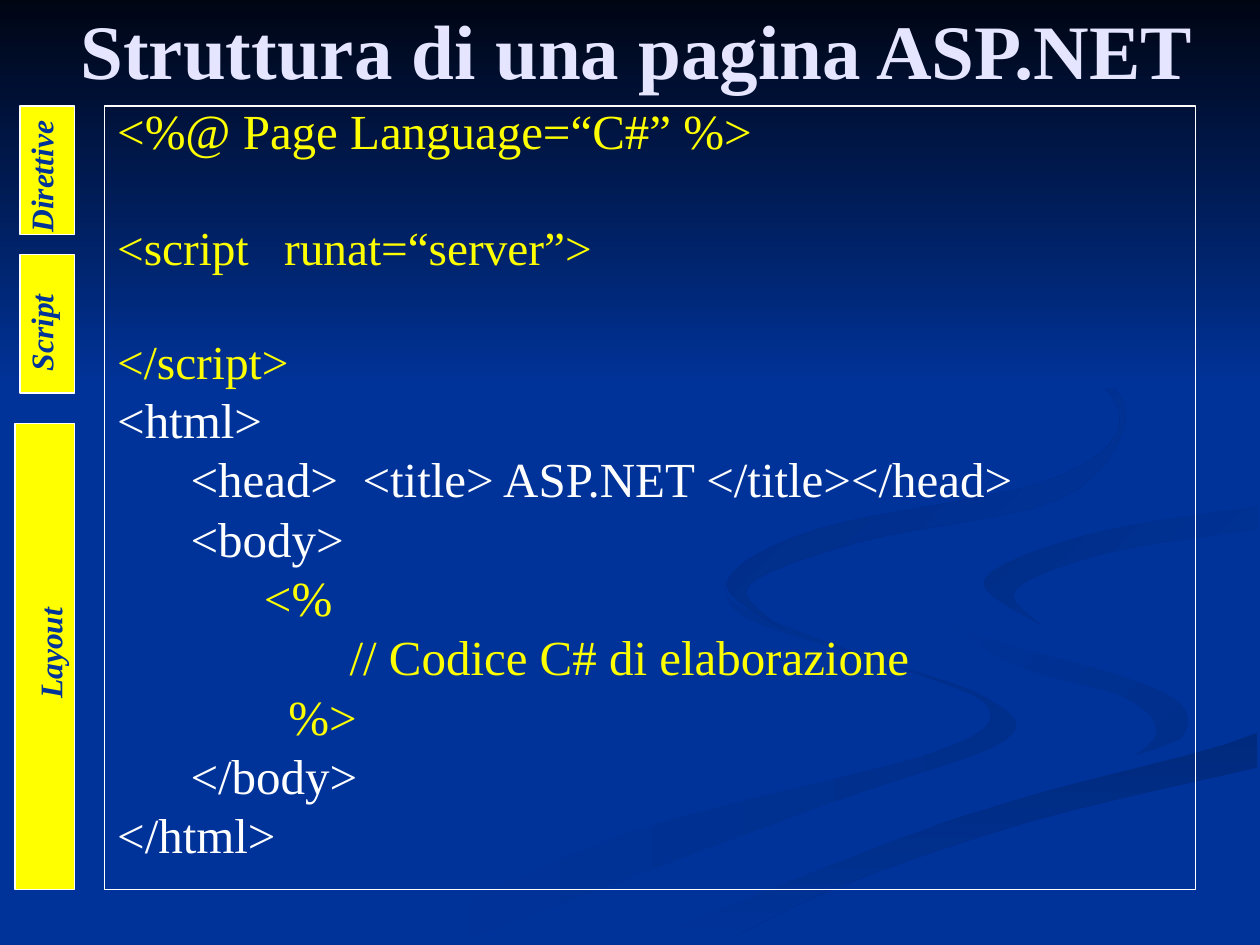
import pptx
import pptx.util
import pptx.dml.color
import pptx.enum.shapes
import pptx.enum.text
import lxml.etree

Inches, Pt = pptx.util.Inches, pptx.util.Pt
RECTANGLE = pptx.enum.shapes.MSO_SHAPE.RECTANGLE
ANCHOR = pptx.enum.text.MSO_ANCHOR
FONT = "Times New Roman"
BLUE, YELLOW, WHITE, LAVENDER = "003399", "FFFF00", "FFFFFF", "E5E5FF"
CURVE_STEPS = 6

TITLE = "Struttura di una pagina ASP.NET"

CODE = [
    ("<%@ Page Language=“C#” %>", 28, YELLOW, 0),
    ("<script   runat=“server”>", 27, YELLOW, 40),
    ("</script>", 27, YELLOW, 39.2),
    ("<html>", 28, WHITE, 7),
    ("      <head>  <title> ASP.NET </title></head>", 28, WHITE, 7),
    ("      <body>", 28, WHITE, 7),
    ("            <%", 28, YELLOW, 7),
    ("                   // Codice C# di elaborazione", 28, YELLOW, 7),
    ("              %>", 28, YELLOW, 7),
    ("      </body>", 28, WHITE, 7),
    ("</html>", 28, WHITE, 7),
]

SECTIONS = [
    ("Direttive", (0.16, 0.84, 0.43, 1.02), (-0.12, 1, 1.19, 0.7)),
    ("Script", (0.16, 2.02, 0.43, 1.1), (-0.23, 2.29, 1.11, 0.4)),
    ("Layout", (0.12, 3.36, 0.47, 3.7), (-0.16, 4.89, 1.11, 0.4)),
]

RIBBONS = [
    ("003399", "002E8B", 0,
     [(5.75, 4.59), (5.87, 4.81), (6.82, 5.19), (7.81, 5.53), (7.97, 5.88), (6.51, 6.4), (3.61, 7.49)],
     [(3, 7.49), (4.99, 6.61), (7.39, 5.98), (7.85, 5.62), (7.14, 5.3), (5.93, 4.91), (5.75, 4.59)]),
    ("003399", "002E8B", 45,
     [(7.24, 4.64), (7.58, 4.98), (8.7, 5.3), (9.35, 5.57), (9.37, 5.86), (8.94, 6.05)],
     [(8.94, 6.05), (9.18, 5.81), (8.92, 5.53), (7.97, 5.24), (7.24, 4.64)]),
    ("002A7D", "003399", 90,
     [(5.03, 7.49), (6.3, 6.93), (7.97, 6.38), (9.98, 5.81)],
     [(9.98, 6.09), (8.21, 6.51), (6.7, 7.02), (5.71, 7.49)]),
    ("003399", "003399", 0,
     [(9.99, 3.87), (8.51, 4.11), (7.25, 4.64), (7.75, 5.03), (9.2, 5.47), (9.36, 5.87), (7.43, 6.43),
      (4.77, 7.49)],
     [(5.03, 7.49), (7.65, 6.47), (9.99, 5.81), (9.99, 5.38), (8.66, 5.09), (7.81, 4.63), (8.5, 4.27),
      (9.99, 4.02)]),
    ("002D86", "003399", 45,
     [(9.98, 4.02), (8.65, 4.24), (7.81, 4.6), (8.26, 4.96)],
     [(8.26, 4.96), (8.06, 4.68), (8.78, 4.39), (9.98, 4.2)]),
    ("002B82", "003399", 45,
     [(7.62, 2.33), (8.64, 2.91), (8.93, 3.35), (8.41, 3.96), (6.83, 4.3), (5.94, 4.65), (6.22, 5)],
     [(6.22, 5), (5.77, 4.62), (6.49, 4.2), (8.3, 3.82), (8.89, 3.35), (8.46, 2.79), (7.62, 2.33)]),
]
SKY = ("000514", "003399", 90)


def colour(value):
    return pptx.dml.color.RGBColor.from_string(value)


def smooth(points):
    padded = [points[0], *points, points[-1]]
    curve = [points[0]]
    for a, b, c, d in zip(padded, padded[1:], padded[2:], padded[3:]):
        for step in range(1, CURVE_STEPS + 1):
            t = step / CURVE_STEPS
            curve.append(tuple(
                q + t * (r - p + t * (2 * p - 5 * q + 4 * r - s + t * (3 * q - p - 3 * r + s))) / 2
                for p, q, r, s in zip(a, b, c, d)))
    return [(Inches(x), Inches(y)) for x, y in curve]


def place(box, left, top, width, height):
    box.left, box.top = Inches(left), Inches(top)
    box.width, box.height = Inches(width), Inches(height)


def shade(shape, first, last, angle):
    shape.shadow.inherit = False
    shape.line.fill.background()
    shape.fill.gradient()
    shape.fill.gradient_angle = (360 - angle) % 360
    for stop, value in zip(shape.fill.gradient_stops, (first, last)):
        stop.color.rgb = colour(value)


def outline(shape):
    shape.line.color.rgb = colour(WHITE)
    shape.line.width = Pt(0.75)


def style(para, size, value, bold=False, italic=False):
    for span in para.runs:
        font = span.font
        font.name, font.size, font.color.rgb = FONT, Pt(size), colour(value)
        font.bold, font.italic = bold, italic


deck = pptx.Presentation()
deck.slide_width, deck.slide_height = Inches(10), Inches(7.5)
page = deck.slides.add_slide(deck.slide_layouts[1])
page.background.fill.solid()
page.background.fill.fore_color.rgb = colour(BLUE)
title, body = page.placeholders

for first, last, angle, outer, inner in RIBBONS:
    points = smooth(outer) + smooth(inner)
    builder = page.shapes.build_freeform(*points[0])
    builder.add_line_segments(points[1:], close=True)
    shade(builder.convert_to_shape(), first, last, angle)
sky = page.shapes.add_shape(RECTANGLE, 0, 0, Inches(10), Inches(3.08))
shade(sky, *SKY)

for holder in (title, body):
    page.shapes._spTree.append(holder._element)
    holder.text_frame.auto_size = pptx.enum.text.MSO_AUTO_SIZE.NONE

place(title, 0.43, 0.05, 9.25, 0.67)
title.text_frame.text = TITLE
title.text_frame.vertical_anchor = ANCHOR.MIDDLE
title.text_frame.paragraphs[0].alignment = pptx.enum.text.PP_ALIGN.CENTER
style(title.text_frame.paragraphs[0], 44, LAVENDER, bold=True)

place(body, 0.83, 0.84, 8.66, 6.22)
outline(body)
body.text_frame.vertical_anchor = ANCHOR.TOP
body.text_frame.text = "\n".join(line[0] for line in CODE)
for para, (text, size, value, before) in zip(body.text_frame.paragraphs, CODE):
    properties = para._p.get_or_add_pPr()
    properties.set("marL", str(Inches(0.38)))
    properties.set("indent", str(-Inches(0.38)))
    lxml.etree.SubElement(properties, pptx.oxml.ns.qn("a:buNone"))
    para.line_spacing, para.space_before = 0.8, Pt(before)
    style(para, size, value)

for name, bar_place, label_place in SECTIONS:
    bar = page.shapes.add_shape(RECTANGLE, *map(Inches, bar_place))
    bar.shadow.inherit = False
    bar.fill.solid()
    bar.fill.fore_color.rgb = colour(YELLOW)
    outline(bar)

for name, bar_place, label_place in SECTIONS:
    label = page.shapes.add_textbox(*map(Inches, label_place))
    label.rotation = 270
    label.text_frame.word_wrap = True
    label.text_frame.text = name
    style(label.text_frame.paragraphs[0], 18, BLUE, bold=True, italic=True)

deck.save("out.pptx")
